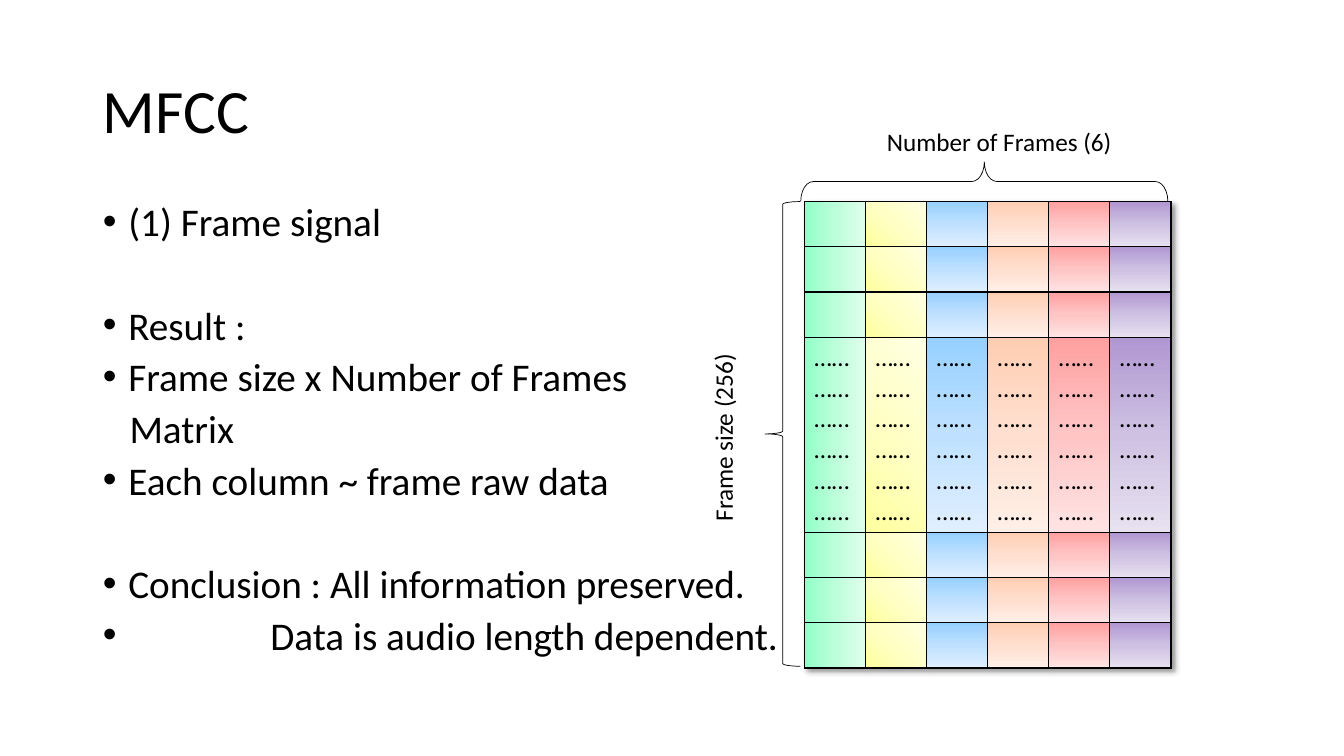
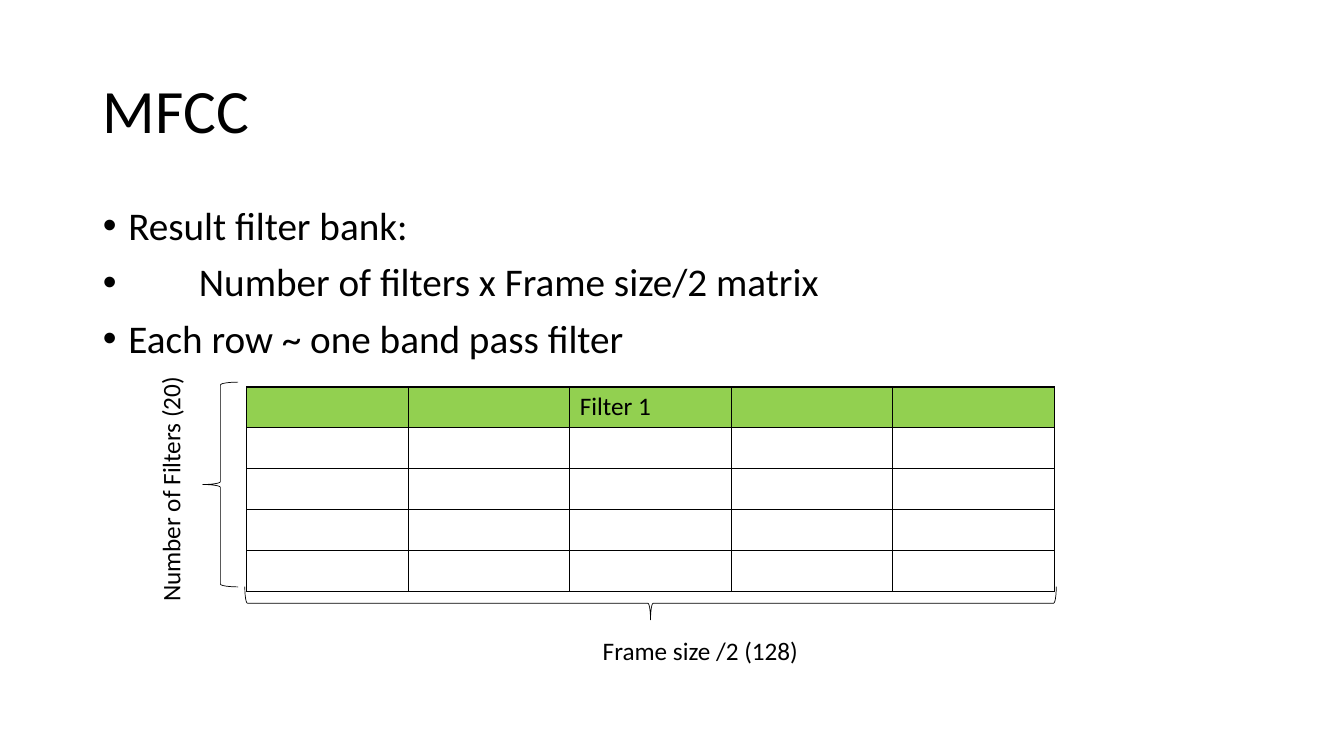
from lxml import etree
from pptx import Presentation
from pptx.dml.color import RGBColor
from pptx.enum.shapes import MSO_SHAPE
from pptx.enum.text import MSO_ANCHOR, MSO_AUTO_SIZE, PP_ALIGN
from pptx.oxml.ns import qn
from pptx.util import Cm, Pt

BRACE = MSO_SHAPE.LEFT_BRACE
LEFT = PP_ALIGN.LEFT
TOP, MIDDLE = MSO_ANCHOR.TOP, MSO_ANCHOR.MIDDLE
NO_FIT = MSO_AUTO_SIZE.NONE

FONT = "Calibri"
BLACK = RGBColor(0x00, 0x00, 0x00)
GREEN = RGBColor(0x92, 0xD0, 0x50)

TITLE = "MFCC"
TITLE_BOX = (2.34, 1.02, 29.21, 3.68)
BODY_BOX = (2.34, 5.08, 29.21, 12.09)
INDENT = 0.64
GAP, BREAK = 10, 47  # points before a line, and before a new group

# Text, left margin (cm), space before (pt), bullet
FRAME_LINES = [
    ("(1) Frame signal", INDENT, GAP, True),
    ("Result :", INDENT, BREAK, True),
    ("Frame size x Number of Frames", INDENT, GAP, True),
    ("Matrix", 0.67, GAP, False),
    ("Each column ~ frame raw data", INDENT, GAP, True),
    ("Conclusion : All information preserved.", INDENT, BREAK, True),
    ("Data is audio length dependent.", 4.22, GAP, True),
]
BANK_LINES = [
    ("Result filter bank:", INDENT, GAP, True),
    ("Number of filters x Frame size/2 matrix", 2.42, GAP, True),
    ("Each row ~ one band pass filter", INDENT, GAP, True),
]

# Colour stops at 0, 50 and 100 percent, and angle, for each frame column
FRAME_FILLS = [
    (("91FFC6", "BCFEDA", "DEFEEC"), 0),
    (("FFFFA0", "FFFFC5", "FFFFE3"), 315),
    (("96D0FF", "BFE1FF", "E0EFFF"), 90),
    (("FFCEB3", "FFDFCF", "FFEFE7"), 90),
    (("FFA0A0", "FFC5C5", "FFE3E3"), 90),
    (("B197D2", "CEC1E2", "E7E1F0"), 90),
]
DOTS = "\n".join(["……"] * 6)
DOT_ROW = 3
FRAME_ROWS = [1.14] * 3 + [4.92] + [1.14] * 3
BANK_ROWS, BANK_COLS = [1.03] * 5, [4.07] * 5


def place(shape, box):
    shape.left, shape.top, shape.width, shape.height = map(Cm, box)


def style(para, size):
    font = para.font
    font.name, font.size, font.color.rgb = FONT, Pt(size), BLACK
    para.alignment = LEFT


def add(parent, tag, **attrs):
    return etree.SubElement(parent, qn(tag), attrs)


def add_page(deck, lines, pitch):
    """Add a slide with the shared title and a list of lines."""
    page = deck.slides.add_slide(deck.slide_layouts[1])
    title, body = page.placeholders
    place(title, TITLE_BOX)
    title.text_frame.text = TITLE
    title.text_frame.vertical_anchor = MIDDLE
    head = title.text_frame.paragraphs[0]
    style(head, 44)
    head.line_spacing = 0.9

    place(body, BODY_BOX)
    frame = body.text_frame
    frame.auto_size = NO_FIT
    frame.vertical_anchor = TOP
    frame.text = "\n".join(line[0] for line in lines)
    for para, (_, margin, before, bullet) in zip(frame.paragraphs, lines):
        style(para, 28)
        para.line_spacing = pitch
        para.space_before = Pt(before)
        props = para._p.get_or_add_pPr()
        props.set("marL", str(Cm(margin)))
        props.set("indent", str(-Cm(margin) if bullet else 0))
        mark = etree.Element(qn("a:buChar"), char="•") if bullet else etree.Element(qn("a:buNone"))
        # Bullets come before the run defaults
        props.find(qn("a:defRPr")).addprevious(mark)
    return page


def add_grid(page, left, top, cols, rows):
    """Add a plain table with black cell borders."""
    frame = page.shapes.add_table(len(rows), len(cols), Cm(left), Cm(top),
                                  Cm(sum(cols)), Cm(sum(rows)))
    grid = frame.table
    grid.first_row = grid.horz_banding = False
    for col, width in zip(grid.columns, cols):
        col.width = Cm(width)
    for row, height in zip(grid.rows, rows):
        row.height = Cm(height)
    for cell in grid.iter_cells():
        props = cell._tc.get_or_add_tcPr()
        for side in "LRTB":
            line = add(props, f"a:ln{side}", w=str(Pt(1)))
            add(add(line, "a:solidFill"), "a:srgbClr", val=str(BLACK))
        cell.fill.background()
    return grid


def write(cell, text):
    cell.text_frame.text = text
    for para in cell.text_frame.paragraphs:
        style(para, 18)


def shade(cell, stops, angle):
    """Fill a cell with an even linear gradient."""
    props = cell._tc.get_or_add_tcPr()
    props.remove(props.find(qn("a:noFill")))
    fill = add(props, "a:gradFill", rotWithShape="1")
    series = add(fill, "a:gsLst")
    for i, color in enumerate(stops):
        add(add(series, "a:gs", pos=str(i * 50000)), "a:srgbClr", val=color)
    add(fill, "a:lin", ang=str(angle * 60000), scaled="0")


def cast(grid):
    """Give a table a soft shadow to the lower right."""
    effects = etree.Element(qn("a:effectLst"))
    shadow = add(effects, "a:outerShdw", blurRad=str(Pt(4)), dist=str(Pt(3)),
                 dir="2700000", algn="tl", rotWithShape="0")
    add(add(shadow, "a:srgbClr", val=str(BLACK)), "a:alpha", val="40000")
    grid._tbl.tblPr.insert(0, effects)


def add_brace(page, box, turn=0, curl=0.08):
    """Add a brace that covers box once it is turned."""
    left, top, width, height = box
    if turn:
        shift = (width - height) / 2
        box = (left + shift, top - shift, height, width)
    brace = page.shapes.add_shape(BRACE, *map(Cm, box))
    brace.rotation = turn
    brace.adjustments[0] = curl
    brace.shadow.inherit = False
    brace.fill.background()
    brace.line.color.rgb = BLACK
    brace.line.width = Pt(0.5)


def add_label(page, text, box, upward=False):
    frame = page.shapes.add_textbox(*map(Cm, box)).text_frame
    frame.word_wrap = True
    frame.text = text
    style(frame.paragraphs[0], 18)
    if upward:
        frame.vertical_anchor = MIDDLE
        frame._txBody.bodyPr.set("vert", "vert270")


def add_frames(deck):
    page = add_page(deck, FRAME_LINES, 0.8)
    grid = add_grid(page, 20.27, 5.08, [1.54] * len(FRAME_FILLS), FRAME_ROWS)
    cast(grid)
    for col, (stops, angle) in enumerate(FRAME_FILLS):
        for row in range(len(FRAME_ROWS)):
            shade(grid.cell(row, col), stops, angle)
        write(grid.cell(DOT_ROW, col), DOTS)
    add_brace(page, (19.28, 5.08, 0.89, 11.71))
    add_brace(page, (20.18, 4.08, 9.25, 0.99), 90, 0.32)
    add_label(page, "Number of Frames (6)", (22.1, 3.05, 6.4, 1.02))
    add_label(page, "Frame size (256)", (17.58, 8.19, 1.27, 5.2), True)


def add_bank(deck):
    page = add_page(deck, BANK_LINES, 0.9)
    grid = add_grid(page, 6.22, 9.75, BANK_COLS, BANK_ROWS)
    for col in range(len(BANK_COLS)):
        fill = grid.cell(0, col).fill
        fill.solid()
        fill.fore_color.rgb = GREEN
    write(grid.cell(0, 2), "Filter 1")
    add_brace(page, (5.11, 9.63, 0.89, 5.16))
    add_brace(page, (6.17, 14.78, 20.45, 0.84), 270)
    add_label(page, "Number of Filters (20)", (3.66, 8.92, 1.27, 6.5), True)
    add_label(page, "Frame size /2 (128)", (14.94, 15.88, 5.7, 1.02))


def main():
    deck = Presentation()
    deck.slide_width, deck.slide_height = Cm(33.87), Cm(19.05)
    add_frames(deck)
    add_bank(deck)
    deck.save("out.pptx")


if __name__ == "__main__":
    main()
